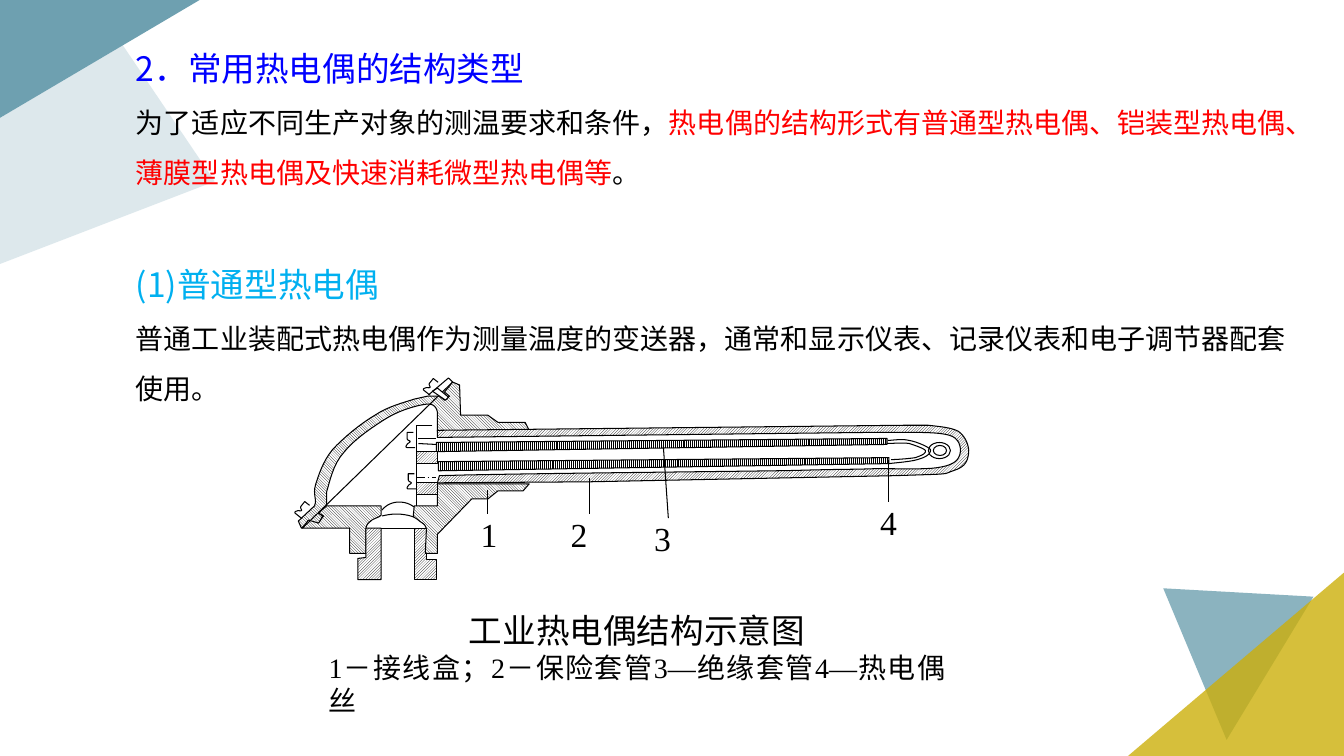
"""Build the slide on common thermocouple structures."""
from lxml import etree
from pptx import Presentation
from pptx import util as u
from pptx.dml.color import RGBColor
from pptx.enum import dml, shapes, text
from pptx.oxml.ns import qn

COLORS = {"teal": "6EA0B0", "pale": "A8C6D0", "gold": "CCAF0A", "black": "000000",
          "white": "FFFFFF", "blue": "0000FF", "red": "FF0000", "sky": "00B0F0"}
SANS, SERIF = "Noto Sans CJK SC", "Times New Roman"
DOWN = dml.MSO_PATTERN.LIGHT_DOWNWARD_DIAGONAL
UP = dml.MSO_PATTERN.LIGHT_UPWARD_DIAGONAL
DARK = dml.MSO_PATTERN.DARK_DOWNWARD_DIAGONAL
VERT = dml.MSO_PATTERN.LIGHT_VERTICAL
LEFT, CENTER, JUSTIFY = text.PP_ALIGN.LEFT, text.PP_ALIGN.CENTER, text.PP_ALIGN.JUSTIFY

COVER = [(378, 307.4), (375.1, 301.7), (355.7, 301.7), (348.5, 296.6), (329, 296.6),
         (328.3, 275), (323.3, 272.9), (317.5, 280.1), (321.1, 283), (317.5, 285.8),
         (313.9, 283), (305.3, 283), (295.9, 285.1),
         (289.4, 287.3, 277.2, 290.2, 267.8, 296.6), (257.8, 302.4, 244.8, 313.2, 237.6, 321.1),
         (230.4, 329.8, 227.5, 339.8, 225.4, 346.3), (223.2, 353.5, 226.8, 357.1, 224.6, 361.4),
         (213.1, 372.2), (215.3, 377.3), (221, 372.2), (227.5, 374.4), (230.4, 368.6),
         (227.5, 366.5), (233.3, 361.4), (233.3, 351.4),
         (235.4, 344.9, 237.6, 331.9, 245.5, 323.3), (252.7, 313.9, 267.8, 303.8, 277.2, 298.1),
         (287.3, 292.3, 298.8, 289.4, 304.6, 288.7), (310.3, 288, 311.8, 291.6, 312.5, 294.5),
         (312.5, 308.2)]
BASE = [(216, 377.3), (249.8, 377.3), (249.8, 395.3), (261.4, 395.3), (261.4, 377.3),
        (262.1, 373.7, 264.2, 373, 265.7, 371.5), (267.8, 370.1, 271.4, 369.4, 272.2, 367.9),
        (272.2, 361.4), (233.3, 361.4), (227.5, 366.5), (231.1, 368.6), (227.5, 373.7),
        (220.3, 371.5)]
SHEATH = [(312.5, 307.4), (645.1, 303.8), (663.1, 303.8),
          (669.6, 304.6, 679.7, 305.3, 684.7, 308.2), (689.8, 311.8, 692.6, 319, 691.9, 324),
          (691.2, 328.3, 690.5, 333.4, 681.1, 336.2), (672.5, 339.1, 682.6, 338.4, 639.4, 339.8),
          (420.5, 344.2), (312.5, 344.9), (313.9, 339.8),
          (355.7, 338.4, 510.5, 337, 562.3, 336.2), (614.2, 334.8, 607.7, 335.5, 625.7, 334.8),
          (643.7, 334.8, 659.5, 335.5, 669.6, 334.1), (679.7, 332.6, 684, 329.8, 685.4, 325.4),
          (686.9, 321.8, 686.2, 314.6, 680.4, 311.8), (674.6, 308.9, 659.5, 308.9, 650.2, 308.9),
          (623.5, 308.9), (312.5, 312.5)]
ROD = [(311.8, 316.1), (633.6, 313.2), (633.6, 317.5), (311.8, 322.6)]
LEFT_TUBE = [(261.4, 377.3), (272.2, 377.3), (272.2, 414), (255.6, 414), (255.6, 398.9),
             (261.4, 398.2)]
RIGHT_TUBE = [(295.9, 377.3), (295.9, 414), (311.8, 414), (311.8, 399.6), (304.6, 399.6),
              (304.6, 377.3)]
LOWER_HOUSING = [(312.5, 345.6), (378, 345.6), (373.7, 350.6), (355.7, 350.6), (348.5, 356.4),
                 (337, 356.4), (312.5, 381.6), (312.5, 395.3), (303.8, 395.3), (304.6, 378),
                 (303.8, 373.7, 301, 373.7, 298.8, 371.5),
                 (297.4, 370.1, 295.9, 370.1, 295.2, 368.6), (295.9, 361.4), (312.5, 361.4)]
CLASP = [(308.9, 279.4), (312.5, 277.2), (320.4, 283.7), (318.2, 285.8)]
HOOK = [(306, 282.2), (320.4, 270), (323.3, 272.9)]
TERMINAL = [(308.9, 303.8), (297.4, 303.8), (297.4, 322.6)]
INNER_WIRE = [(633.6, 316.8), (636.5, 316.8, 645.1, 316.1, 649.4, 316.8),
              (653.8, 318.2, 660.2, 320.4, 661, 321.8), (661.7, 324, 658.1, 325.4, 653.8, 326.9),
              (649.4, 327.6, 640.1, 328.3, 636.5, 328.3)]
OUTER_WIRE = [(634.3, 314.6), (637.2, 314.6, 644.4, 313.2, 649.4, 314.6),
              (654.5, 315.4, 663.1, 319, 664.6, 321.1), (665.3, 323.3, 662.4, 326.2, 657.4, 327.6),
              (652.3, 329.8, 639.4, 330.5, 635, 331.2)]
LOW_ARC = [(272.9, 368.6), (275.8, 367.9, 279.4, 367.2, 283, 367.2),
           (287.3, 367.2, 291.6, 367.9, 295.9, 369.4)]
HIGH_ARC = [(272.9, 364.3), (275.8, 360.7, 280.1, 358.6, 285.1, 358.6),
            (289.4, 358.6, 293, 360, 295.9, 362.2)]
SCREW = [(5.8, 0), (1.4, 0), (1.4, 4.3), (1.4, 5.8, 3.6, 5.8, 3.6, 6.5),
         (3.6, 7.2, 1.4, 7.9, 1.4, 8.6), (0.7, 9.4, 0, 10.8, 1.4, 10.8), (7.2, 10.8)]


def flatten(outline, dx=0, dy=0, steps=8):
    points = []
    for item in outline:
        if len(item) == 2:
            points.append(item)
            continue
        x0, y0 = points[-1]
        x1, y1, x2, y2, x3, y3 = item
        for i in range(1, steps + 1):
            t = i / steps
            a, b, c, d = (1 - t) ** 3, 3 * t * (1 - t) ** 2, 3 * t * t * (1 - t), t ** 3
            points.append((a * x0 + b * x1 + c * x2 + d * x3,
                           a * y0 + b * y1 + c * y2 + d * y3))
    return [(u.Pt(x + dx), u.Pt(y + dy)) for x, y in points]


class Painter:
    def __init__(self, s):
        self.s = s

    def rgb(self, name):
        return RGBColor.from_string(COLORS[name])

    def stroke(self, line):
        line.color.rgb = self.rgb("black")
        line.width = u.Pt(0.75)

    def style(self, sp, fill=None, alpha=None, line=True):
        sp.shadow.inherit = False
        if fill is None:
            sp.fill.background()
        elif fill in COLORS:
            sp.fill.solid()
            sp.fill.fore_color.rgb = self.rgb(fill)
        else:
            sp.fill.patterned()
            sp.fill.pattern = fill
            sp.fill.fore_color.rgb = self.rgb("black")
            sp.fill.back_color.rgb = self.rgb("white")
        if alpha:
            clr = sp._element.spPr.find(".//" + qn("a:srgbClr"))
            etree.SubElement(clr, qn("a:alpha")).set("val", str(alpha * 1000))
        if line:
            self.stroke(sp.line)
        else:
            sp.line.fill.background()
        return sp

    def outline(self, points, fill=None, dx=0, dy=0, **kw):
        first, *rest = flatten(points, dx, dy)
        fb = self.s.shapes.build_freeform(*first)
        fb.add_line_segments(rest, close=fill is not None)
        return self.style(fb.convert_to_shape(), fill, **kw)

    def shape(self, kind, x, y, w, h, fill=None):
        box = [u.Pt(v) for v in (x, y, w, h)]
        return self.style(self.s.shapes.add_shape(kind, *box), fill)

    def line(self, *ends):
        cn = self.s.shapes.add_connector(shapes.MSO_CONNECTOR.STRAIGHT, *[u.Pt(v) for v in ends])
        self.stroke(cn.line)
        etree.SubElement(cn._element.spPr, qn("a:effectLst"))
        return cn

    def text(self, x, y, w, h, paragraphs, font=SERIF, spacing=None, inset=0):
        tf = self.s.shapes.add_textbox(*[u.Pt(v) for v in (x, y, w, h)]).text_frame
        tf.word_wrap = True
        tf.margin_left = tf.margin_right = u.Pt(inset)
        tf.margin_top = tf.margin_bottom = u.Pt(inset / 2)
        for i, (size, align, before, parts) in enumerate(paragraphs):
            p = tf.add_paragraph() if i else tf.paragraphs[0]
            p.alignment = align
            if spacing:
                p.line_spacing = spacing
            if before:
                p.space_before = u.Pt(before)
            for words, color in parts:
                r = p.add_run()
                r.text = words
                r.font.size = u.Pt(size)
                r.font.name = font
                r.font.color.rgb = self.rgb(color)
                etree.SubElement(r._r.get_or_add_rPr(), qn("a:ea")).set("typeface", SANS)


def main():
    prs = Presentation()
    prs.slide_width, prs.slide_height = u.Pt(960), u.Pt(540)
    s = prs.slides.add_slide(prs.slide_layouts[6])
    d = Painter(s)

    d.outline([(938.2, 426.2), (876.2, 528.5), (830.9, 420.2)], "teal", alpha=80, line=False)
    d.outline([(960, 540), (805.7, 540), (960, 409)], "gold", alpha=80, line=False)
    d.outline([(0, 188.6), (153.4, 129.6), (87.8, 32.4), (0, 84.2)], "pale", alpha=39, line=False)
    d.outline([(0, 0), (0, 84.2), (87.8, 32.4), (142.6, 0)], "teal", line=False)

    d.text(90, 16.6, 836.6, 272.9, [
        (24, LEFT, 0, [("2．常用热电偶的结构类型", "blue")]),
        (20, LEFT, 0, [("为了适应不同生产对象的测温要求和条件，", "black"),
                       ("热电偶的结构形式有普通型热电偶、铠装型热电偶、薄膜型热电偶及快速消耗微型热电偶等", "red"),
                       ("。", "black")]),
        (24, LEFT, 39, [("(1)普通型热电偶", "sky")]),
        (20, LEFT, 0, [("普通工业装配式热电偶作为测量温度的变送器，通常和显示仪表、"
                        "记录仪表和电子调节器配套使用。", "black")]),
    ], font=SANS, spacing=1.5, inset=7.2)

    for points, fill in ((COVER, DOWN), (BASE, DOWN), (SHEATH, UP), (LEFT_TUBE, UP),
                         (RIGHT_TUBE, UP), (LOWER_HOUSING, DARK)):
        d.outline(points, fill)
    for dx, dy in ((0, 0), (1.4, 13.7)):
        d.outline(ROD, VERT, dx, dy)
    for y in (322.6, 344.9):
        d.shape(shapes.MSO_SHAPE.RECTANGLE, 297.4, y, 15.1, 8.6, UP)
    d.line(216, 377.3, 323.3, 272.9)
    d.outline(CLASP, "white")
    for points in (HOOK, TERMINAL, INNER_WIRE, OUTER_WIRE, LOW_ARC, HIGH_ARC):
        d.outline(points)
    for dx, dy, angle in ((289.4, 308.9, 0), (290.2, 338.4, 0), (304.2, 270.7, 38.5),
                          (212.4, 358.6, 38.5)):
        d.outline(SCREW, dx=dx, dy=dy).rotation = angle
    for box in ((663.1, 316.1, 15.8, 11.5), (666.7, 318.2, 9.4, 7.2)):
        d.shape(shapes.MSO_SHAPE.OVAL, *box)
    for ends in ((298.8, 313.2, 311.8, 313.2), (298.8, 316.8, 311.8, 317.5),
                 (297.4, 303.8, 297.4, 361.4), (272.2, 377.3, 297.4, 377.3)):
        d.line(*ends)
    d.line(297.4, 341.3, 311.8, 341.3).line.dash_style = dml.MSO_LINE.LONG_DASH_DOT

    for label, ends, x in (("1", (348.5, 349.9, 348.5, 367.2), 343.4),
                           ("2", (421.2, 341.3, 421.2, 367.2), 407.5),
                           ("3", (473.8, 318.2, 477.4, 370.1), 467.3),
                           ("4", (635, 328.3, 635, 358.6), 628.6)):
        d.line(*ends)
        d.text(x, ends[3], 20.2, 23, [(24, JUSTIFY, 0, [(label, "black")])])
    d.text(234.7, 435.6, 440.6, 54, [
        (24, CENTER, 0, [("工业热电偶结构示意图", "black")]),
        (20, JUSTIFY, 0, [("1－接线盒；2－保险套管3―绝缘套管4―热电偶丝", "black")])])
    prs.save("out.pptx")


if __name__ == "__main__":
    main()
